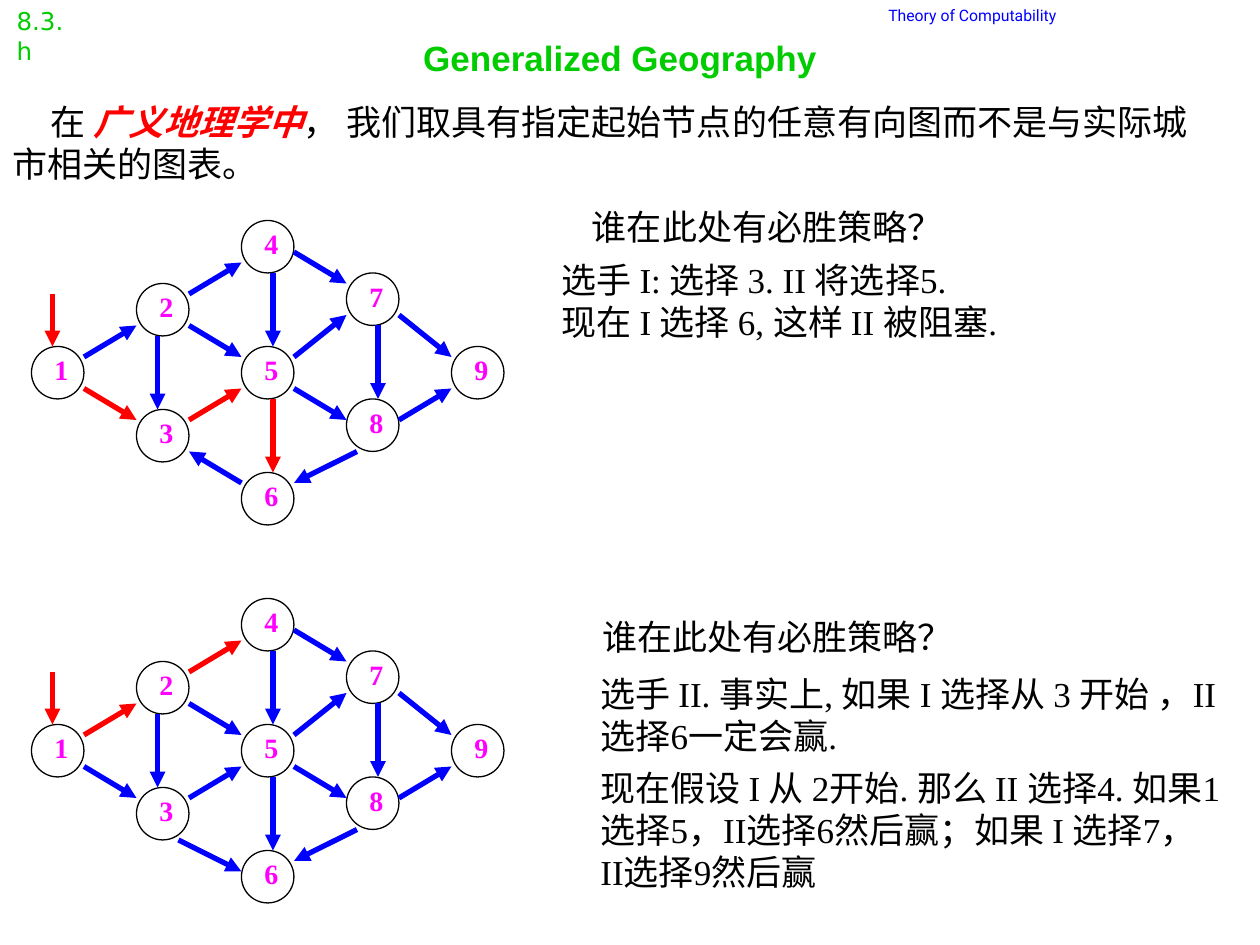
from lxml import etree
from pptx import Presentation, util as u
from pptx.dml.color import RGBColor
from pptx.enum import shapes, text
from pptx.oxml.ns import qn

PX = 7620  # EMU per px: 120 px to the inch

BLACK = RGBColor(0, 0, 0)
GREEN = RGBColor(0, 204, 0)
BLUE = RGBColor(0, 0, 255)
RED = RGBColor(255, 0, 0)
MAGENTA = RGBColor(255, 0, 255)

# Node positions within a graph
NODE_SIZE = 50
NODES = {1: (30, 120), 2: (130, 60), 4: (230, 0), 5: (230, 120), 6: (230, 240),
         3: (130, 180), 7: (330, 50), 8: (330, 170), 9: (430, 120)}

# Arrows within a graph: (from node, to node) -> (x1, y1, x2, y2)
START = (0, 1)
ARROWS = {
    (1, 2): (80, 130, 130, 100), (2, 4): (180, 70, 230, 40),
    (1, 3): (80, 160, 130, 190), (4, 7): (280, 30, 330, 60),
    (7, 9): (380, 90, 430, 130), (8, 9): (380, 190, 430, 160),
    (5, 7): (280, 130, 330, 90), (5, 8): (280, 160, 330, 190),
    (2, 5): (180, 100, 230, 130), (3, 5): (180, 190, 230, 160),
    (8, 6): (340, 220, 280, 250), START: (50, 70, 50, 120),
    (2, 3): (150, 110, 150, 180), (7, 8): (360, 100, 360, 170),
    (4, 5): (260, 50, 260, 120), (5, 6): (260, 170, 260, 240),
}


def px(*lengths):
    return [u.Emu(length * PX) for length in lengths]


def add_span(para, words, size=20, font="Times New Roman", color=BLACK,
             bold=False, italic=False):
    span = para.add_run()
    span.text = words
    span.font.size = u.Pt(size)
    span.font.name = font
    span.font.color.rgb = color
    span.font.bold = bold
    span.font.italic = italic
    return span


class Page:
    """The current slide and its shared style."""

    def __init__(self, deck):
        self.slide = deck.slides.add_slide(deck.slide_layouts[5])
        self.shapes = self.slide.shapes

    def title(self, words, place, right_inset, **style):
        box = self.shapes.title
        box.left, box.top, box.width, box.height = px(*place)
        frame = box.text_frame
        frame.vertical_anchor = text.MSO_ANCHOR.MIDDLE
        frame.margin_right = px(right_inset)[0]
        para = frame.paragraphs[0]
        para.alignment = text.PP_ALIGN.CENTER
        add_span(para, words, **style)

    def text(self, paras, place, wrap=False, inset=12, indent=0, **style):
        """Each paragraph is a list of (words, extra style) pairs, or a string."""
        box = self.shapes.add_textbox(*px(*place))
        frame = box.text_frame
        frame.word_wrap = wrap
        frame.auto_size = text.MSO_AUTO_SIZE.SHAPE_TO_FIT_TEXT
        frame.margin_left = px(inset)[0]
        for index, spans in enumerate(paras):
            para = frame.add_paragraph() if index else frame.paragraphs[0]
            if indent:
                para._p.get_or_add_pPr().set("indent", str(indent * PX))
            if isinstance(spans, str):
                spans = [(spans, {})]
            for words, extra in spans:
                add_span(para, words, **{**style, **extra})

    def node(self, number, x, y):
        circle = self.shapes.add_shape(shapes.MSO_SHAPE.OVAL,
                                       *px(x, y, NODE_SIZE, NODE_SIZE))
        circle.shadow.inherit = False
        circle.fill.background()
        circle.line.color.rgb = BLACK
        circle.line.width = u.Pt(0.75)
        self.text([str(number)], (x + 10, y, 37, 44),
                  size=16, color=MAGENTA, bold=True)

    def arrow(self, ends, color):
        line = self.shapes.add_connector(shapes.MSO_CONNECTOR.STRAIGHT, *px(*ends))
        line.line.color.rgb = color
        line.line.width = u.Pt(3)
        etree.SubElement(line.line._get_or_add_ln(), qn("a:tailEnd"), type="triangle")
        etree.SubElement(line._element.spPr, qn("a:effectLst"))

    def graph(self, top, extra_arrows, chosen):
        for number, (x, y) in NODES.items():
            self.node(number, x, top + y)
        for edge, (x1, y1, x2, y2) in {**ARROWS, **extra_arrows}.items():
            self.arrow((x1, top + y1, x2, top + y2), RED if edge in chosen else BLUE)


def main():
    deck = Presentation()
    deck.slide_width, deck.slide_height = px(1200, 900)
    page = Page(deck)

    # Heading and corner labels
    page.title("Generalized Geography", (90, 0, 1020, 110), 31,
               font="Arial", color=GREEN, bold=True)
    page.text(["8.3.h"], (4, 0, 78, 41), wrap=True,
              size=14, font="DejaVu Sans", color=GREEN)
    page.text(["Theory of Computability"], (830, 0, 198, 30), inset=16,
              size=9, font="Roboto", color=BLUE)

    # Game graphs, with the chosen moves in red
    page.graph(210, {(6, 3): (230, 250, 180, 220)}, {START, (1, 3), (3, 5), (5, 6)})
    page.graph(570, {(3, 6): (170, 230, 230, 260)}, {START, (1, 2), (2, 4)})

    # Introduction
    page.text([[("在 ", {}),
                ("广义地理学中", {"color": RED, "bold": True, "italic": True}),
                ("， 我们取具有指定起始节点的任意有向图而不是与实际城市相关的图表。", {})]],
              (0, 90, 1170, 92), wrap=True, indent=36)

    # Questions and answers beside each graph
    question = "谁在此处有必胜策略？"
    page.text([question], (552, 190, 358, 53))
    page.text(["选手 I: 选择 3. II 将选择5.", "现在 I 选择 6, 这样 II 被阻塞."],
              (523, 240, 498, 92))
    page.text([question], (562, 580, 358, 53))
    page.text(["选手 II. 事实上, 如果 I 选择从 3 开始 ，II 选择6一定会赢."],
              (560, 635, 630, 92), wrap=True)
    page.text(["现在假设 I 从 2开始. 那么 II 选择4. 如果1选择5，II选择6然后赢；"
               "如果 I 选择7， II选择9然后赢"],
              (560, 724, 620, 132), wrap=True)

    deck.save("out.pptx")


if __name__ == "__main__":
    main()
